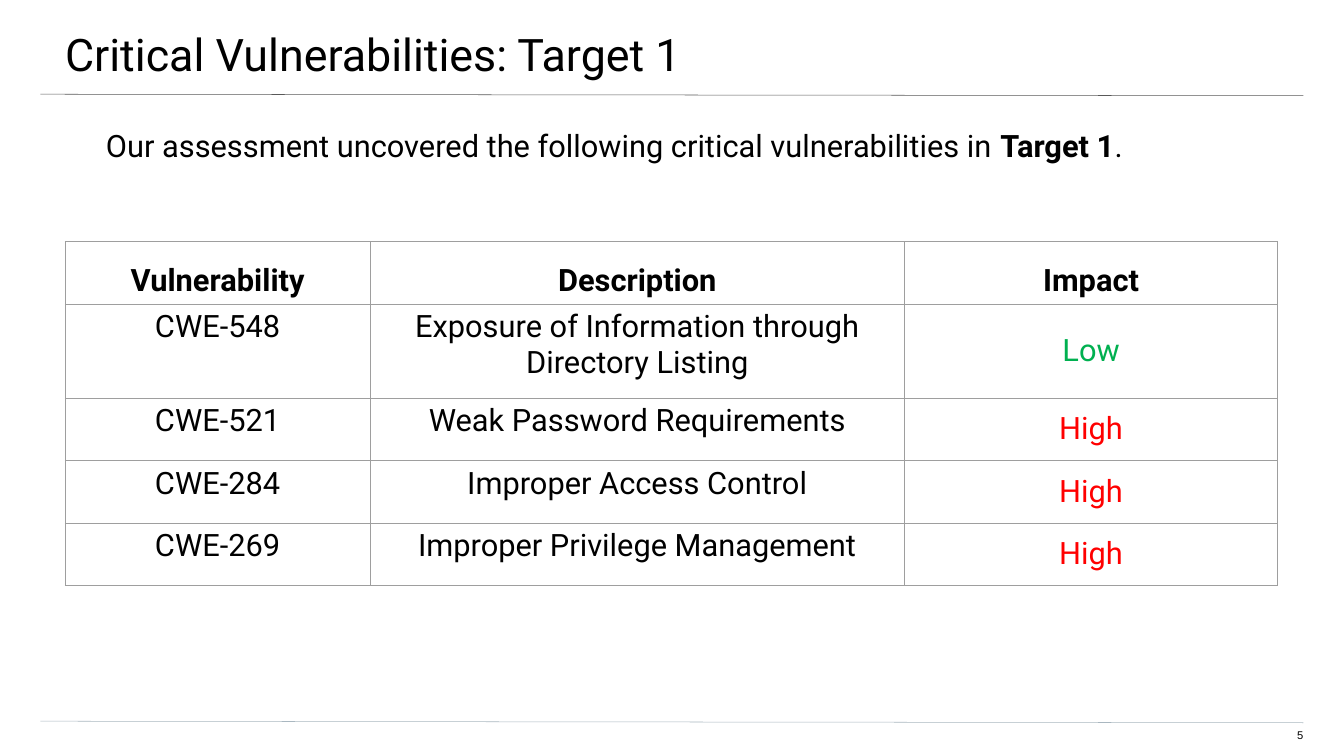
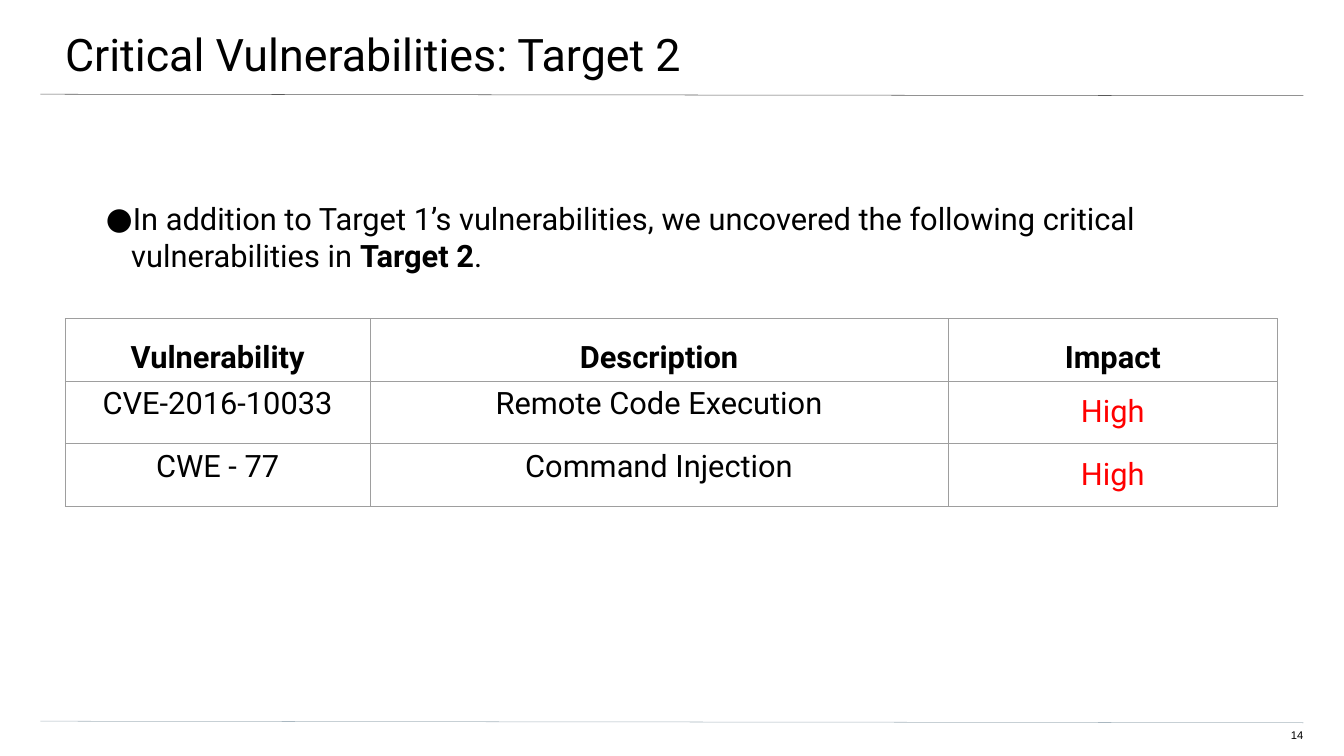
from dataclasses import dataclass

from lxml.etree import SubElement
from pptx import Presentation
from pptx.dml.color import RGBColor
from pptx.enum.shapes import MSO_CONNECTOR
from pptx.enum.text import MSO_ANCHOR, MSO_AUTO_SIZE, PP_ALIGN
from pptx.oxml.ns import qn
from pptx.slide import Slide
from pptx.table import _Cell
from pptx.text.text import TextFrame, _Paragraph
from pptx.util import Pt


@dataclass(frozen=True)
class Theme:
    heading_font: str = "Roboto"
    number_font: str = "Arial"
    title_size: float = 64
    body_size: float = 44
    number_size: float = 16
    text: str = "000000"
    background: str = "FFFFFF"
    title_rule: str = "595959"
    footer_rule: str = "A9B7C0"
    border: str = "9E9E9E"
    line_width: float = 0.75


@dataclass(frozen=True)
class Box:
    """A rectangle in points, with its text insets (left, top, right, bottom)."""
    left: float
    top: float
    width: float
    height: float
    insets: tuple[float, float, float, float]


@dataclass(frozen=True)
class Finding:
    vulnerability: str
    description: str
    impact: str
    row_height: float = 89.3


@dataclass(frozen=True)
class TargetSlide:
    target: str
    page: int
    intro: str
    intro_top: float
    bulleted: bool
    table_top: float
    column_widths: tuple[float, float, float]
    findings: tuple[Finding, ...]


THEME = Theme()
IMPACT_COLOURS = {"Low": "00B050", "High": "FF0000"}
HEADER = Finding("Vulnerability", "Description", "Impact")

SLIDE_WIDTH, SLIDE_HEIGHT = 1920, 1080
RULE_LEFT, RULE_RIGHT, RULE_DROP = 57.6, 1862, 2.2
TITLE_RULE_TOP, FOOTER_RULE_TOP = 134.6, 1030.3
INTRO_BOTTOM = 957.6
TABLE_LEFT = 93
CELL_MARGIN = 7.2
TITLE_BOX = Box(-3, 0, 1924.6, 112.3, (96, 38.4, 57.6, 19.2))
NUMBER_BOX = Box(1807.2, 1041, 54.8, 22.4, (0, 0, 0, 19.2))

TARGET_SLIDES = (
    TargetSlide(
        target="Target 1",
        page=5,
        intro="Our assessment uncovered the following critical vulnerabilities in ",
        intro_top=180.7,
        bulleted=False,
        table_top=345,
        column_widths=(436, 763.2, 533),
        findings=(
            Finding("CWE-548", "Exposure of Information through Directory Listing",
                    "Low", 134.4),
            Finding("CWE-521", "Weak Password Requirements", "High"),
            Finding("CWE-284", "Improper Access Control", "High"),
            Finding("CWE-269", "Improper Privilege Management", "High"),
        ),
    ),
    TargetSlide(
        target="Target 2",
        page=14,
        intro="In addition to Target 1’s vulnerabilities, we uncovered the following "
              "critical vulnerabilities in ",
        intro_top=286,
        bulleted=True,
        table_top=455,
        column_widths=(436, 825.4, 470.8),
        findings=(
            Finding("CVE-2016-10033", "Remote Code Execution", "High"),
            Finding("CWE - 77", "Command Injection", "High"),
        ),
    ),
)


def style_paragraph(paragraph: _Paragraph, size: float, font: str = THEME.heading_font,
                    colour: str = THEME.text, bold: bool = False) -> None:
    paragraph.font.name = font
    paragraph.font.size = Pt(size)
    paragraph.font.bold = bold
    paragraph.font.color.rgb = RGBColor.from_string(colour)


def add_text_frame(slide: Slide, box: Box) -> TextFrame:
    shape = slide.shapes.add_textbox(Pt(box.left), Pt(box.top), Pt(box.width), Pt(box.height))
    frame = shape.text_frame
    frame.word_wrap = True
    frame.auto_size = MSO_AUTO_SIZE.NONE
    frame.vertical_anchor = MSO_ANCHOR.TOP
    (frame.margin_left, frame.margin_top,
     frame.margin_right, frame.margin_bottom) = map(Pt, box.insets)
    return frame


def add_rule(slide: Slide, top: float, colour: str) -> None:
    rule = slide.shapes.add_connector(MSO_CONNECTOR.STRAIGHT, Pt(RULE_LEFT), Pt(top),
                                      Pt(RULE_RIGHT), Pt(top + RULE_DROP))
    rule.line.color.rgb = RGBColor.from_string(colour)
    rule.line.width = Pt(THEME.line_width)
    SubElement(rule._element.spPr, qn("a:effectLst"))


def add_frame(slide: Slide, content: TargetSlide) -> None:
    """Draw the background, rules, title and page number."""
    slide.background.fill.solid()
    slide.background.fill.fore_color.rgb = RGBColor.from_string(THEME.background)
    add_rule(slide, TITLE_RULE_TOP, THEME.title_rule)
    add_rule(slide, FOOTER_RULE_TOP, THEME.footer_rule)

    title = add_text_frame(slide, TITLE_BOX).paragraphs[0]
    title.text = f"Critical Vulnerabilities: {content.target}"
    style_paragraph(title, THEME.title_size)

    number = add_text_frame(slide, NUMBER_BOX).paragraphs[0]
    number.text = str(content.page)
    number.alignment = PP_ALIGN.RIGHT
    style_paragraph(number, THEME.number_size, THEME.number_font)


def add_bullet(paragraph: _Paragraph) -> None:
    properties = paragraph._p.get_or_add_pPr()
    properties.set("marL", str(Pt(36)))
    properties.set("indent", str(Pt(-40)))
    colour = SubElement(properties, qn("a:buClr"))
    SubElement(colour, qn("a:srgbClr"), val=THEME.text)
    SubElement(properties, qn("a:buFont"), typeface=THEME.heading_font)
    SubElement(properties, qn("a:buChar"), char="●")


def add_intro(slide: Slide, content: TargetSlide) -> None:
    box = Box(55.4, content.intro_top, 1806.5, INTRO_BOTTOM - content.intro_top,
              (96, 0, 96, 0))
    paragraph = add_text_frame(slide, box).paragraphs[0]
    if content.bulleted:
        add_bullet(paragraph)
    style_paragraph(paragraph, THEME.body_size)
    for text, bold in ((content.intro, False), (content.target, True), (".", False)):
        run = paragraph.add_run()
        run.text = text
        run.font.bold = bold


def add_borders(cell: _Cell) -> None:
    properties = cell._tc.get_or_add_tcPr()
    for side in ("lnL", "lnR", "lnT", "lnB"):
        line = SubElement(properties, qn(f"a:{side}"), w=str(Pt(THEME.line_width)))
        fill = SubElement(line, qn("a:solidFill"))
        SubElement(fill, qn("a:srgbClr"), val=THEME.border)


def fill_cell(cell: _Cell, text: str, anchor: MSO_ANCHOR, colour: str, bold: bool) -> None:
    add_borders(cell)
    cell.fill.background()
    cell.vertical_anchor = anchor
    cell.margin_left = cell.margin_right = Pt(CELL_MARGIN)
    cell.margin_top = cell.margin_bottom = Pt(CELL_MARGIN)
    paragraph = cell.text_frame.paragraphs[0]
    paragraph.text = text
    paragraph.alignment = PP_ALIGN.CENTER
    style_paragraph(paragraph, THEME.body_size, colour=colour, bold=bold)


def add_findings_table(slide: Slide, content: TargetSlide) -> None:
    findings = (HEADER, *content.findings)
    table = slide.shapes.add_table(
        len(findings), len(content.column_widths), Pt(TABLE_LEFT), Pt(content.table_top),
        Pt(sum(content.column_widths)), Pt(sum(finding.row_height for finding in findings)),
    ).table
    table.first_row = table.horz_banding = False
    for column, width in zip(table.columns, content.column_widths):
        column.width = Pt(width)
    for row, finding in zip(table.rows, findings):
        row.height = Pt(finding.row_height)
        is_header = finding is HEADER
        text_anchor = MSO_ANCHOR.BOTTOM if is_header else MSO_ANCHOR.TOP
        impact_anchor = MSO_ANCHOR.BOTTOM if is_header else MSO_ANCHOR.MIDDLE
        impact_colour = IMPACT_COLOURS.get(finding.impact, THEME.text)
        vulnerability, description, impact = row.cells
        fill_cell(vulnerability, finding.vulnerability, text_anchor, THEME.text, is_header)
        fill_cell(description, finding.description, text_anchor, THEME.text, is_header)
        fill_cell(impact, finding.impact, impact_anchor, impact_colour, is_header)


def main() -> None:
    presentation = Presentation()
    presentation.slide_width = Pt(SLIDE_WIDTH)
    presentation.slide_height = Pt(SLIDE_HEIGHT)
    blank_layout = presentation.slide_layouts[6]
    for content in TARGET_SLIDES:
        slide = presentation.slides.add_slide(blank_layout)
        add_frame(slide, content)
        add_intro(slide, content)
        add_findings_table(slide, content)
    presentation.save("out.pptx")


if __name__ == "__main__":
    main()
